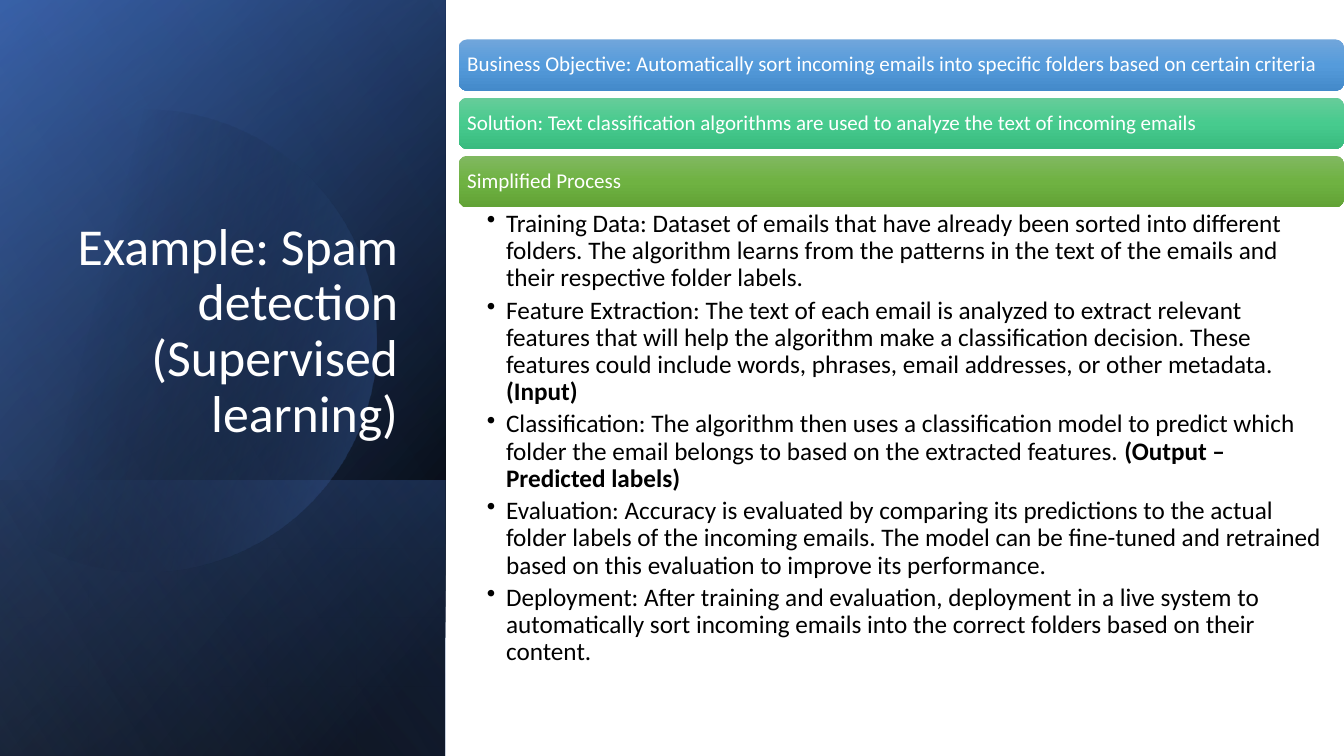
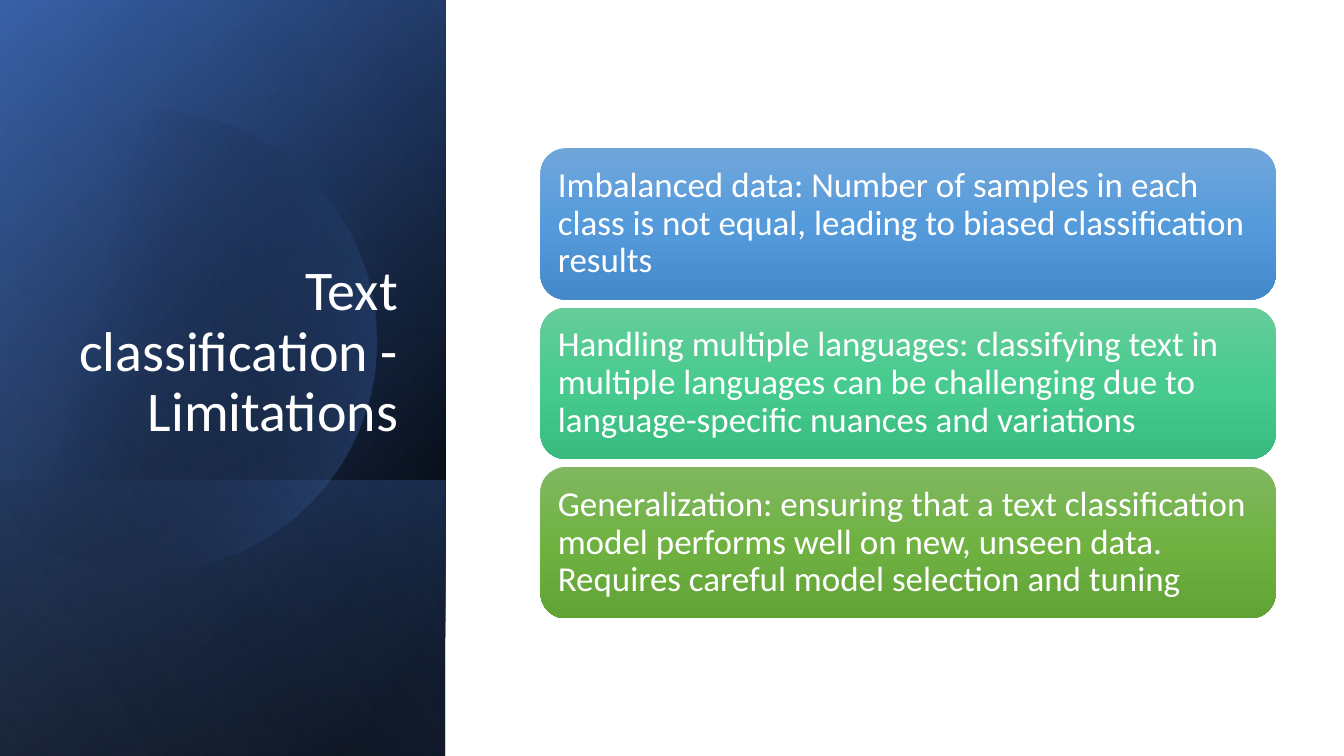
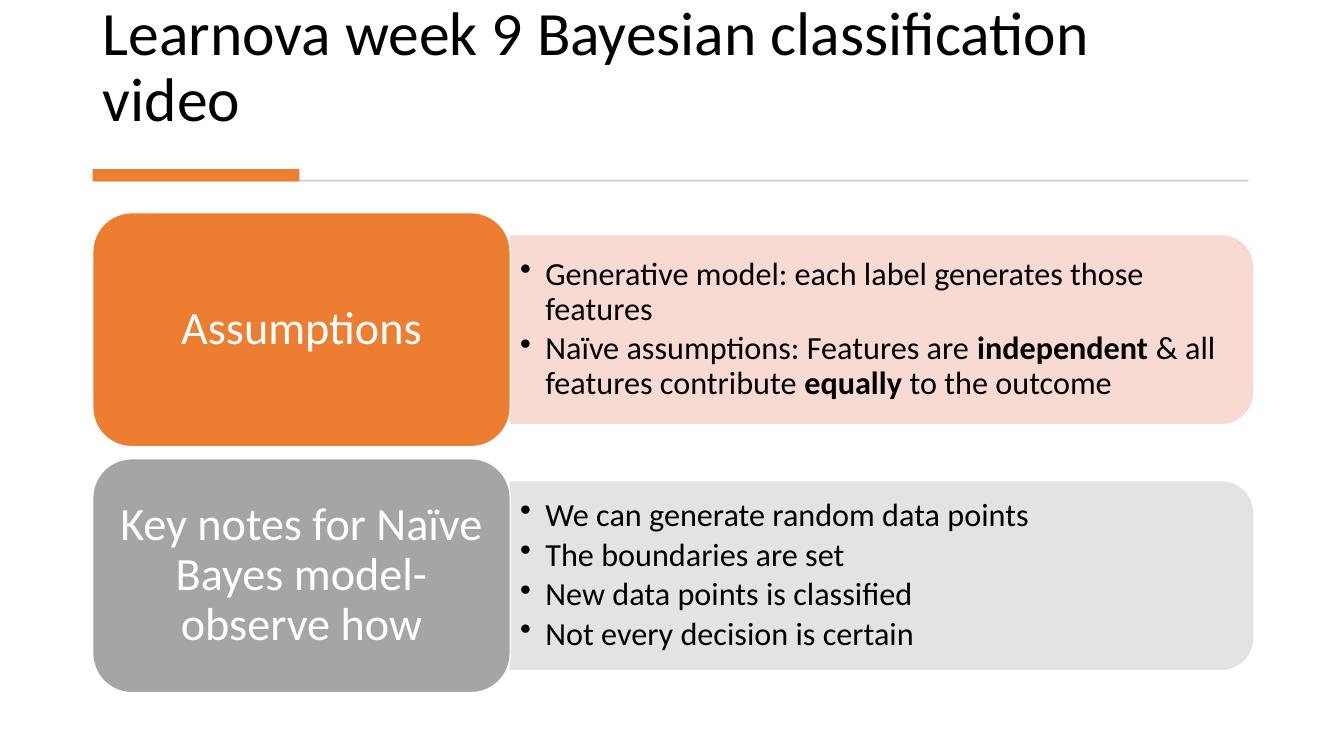
import math
from dataclasses import dataclass

import lxml.etree
import pptx
import pptx.dml.color
import pptx.enum.shapes
import pptx.enum.text
import pptx.oxml.ns
import pptx.util

qn = pptx.oxml.ns.qn
Inches = pptx.util.Inches
Pt = pptx.util.Pt
SHAPE = pptx.enum.shapes.MSO_SHAPE
ALIGN = pptx.enum.text.PP_ALIGN
ANCHOR = pptx.enum.text.MSO_ANCHOR

SLIDE_W, SLIDE_H = Inches(13.33), Inches(7.5)
FONT = "Calibri"
COLORS = {
    "white": "FFFFFF", "black": "000000", "navy": "2F5597", "blue": "4472C4",
    "sky": "8FAADC", "orange": "ED7D31", "peach": "F8D7CE",
    "grey": "A5A5A5", "mist": "E1E1E1", "hairline": "D5D5D5",
}
CARD_GRADIENTS = [
    ("71A6DB", "559BDB", "448ACA"),
    ("67CC9A", "47CB8E", "39BB7F"),
    ("81B861", "6FB242", "62A336"),
]


@dataclass
class Box:
    """A region measured in percent of the slide's width and height."""
    left: float
    top: float
    width: float
    height: float

    def inner(self, left, top, width, height):
        """Return a region given in percent of this one."""
        return Box(self.left + self.width * left / 100,
                   self.top + self.height * top / 100,
                   self.width * width / 100, self.height * height / 100)

    def rows(self, count, gap):
        """Split into equal rows with a gap in percent of the height."""
        row = (100 - gap * (count - 1)) / count
        return [self.inner(0, i * (row + gap), 100, row) for i in range(count)]

    def emu(self):
        """Return left, top, width and height in slide units."""
        return (int(SLIDE_W * self.left / 100), int(SLIDE_H * self.top / 100),
                int(SLIDE_W * self.width / 100), int(SLIDE_H * self.height / 100))


PANEL = Box(0, 0, 33.15, 100)


def rgb(name):
    """Return the named palette colour."""
    return pptx.dml.color.RGBColor.from_string(COLORS[name])


def add_block(slide, kind, box, fill=None, line=None):
    """Add a flat preset shape."""
    block = slide.shapes.add_shape(kind, *box.emu())
    block.shadow.inherit = False
    if fill:
        block.fill.solid()
        block.fill.fore_color.rgb = rgb(fill)
    if line:
        block.line.color.rgb = rgb(line)
        block.line.width = Pt(1)
    else:
        block.line.fill.background()
    return block


def fill_gradient(shape, stops, angle):
    """Fill with (position, hex, opacity) stops along a clockwise angle."""
    shape.fill.gradient()
    gradient = shape._element.spPr.find(qn("a:gradFill"))
    stop_list = gradient.find(qn("a:gsLst"))
    for old in list(stop_list):
        stop_list.remove(old)
    for position, color, opacity in stops:
        stop = lxml.etree.SubElement(stop_list, qn("a:gs"), pos=str(position * 1000))
        tint = lxml.etree.SubElement(stop, qn("a:srgbClr"), val=color)
        if opacity < 100:
            lxml.etree.SubElement(tint, qn("a:alpha"), val=str(opacity * 1000))
    gradient.find(qn("a:lin")).set("ang", str(angle * 60000))


def write(shape, paragraphs, size, color, align=ALIGN.LEFT, anchor=ANCHOR.MIDDLE,
          insets=(0.1, 0.05, 0.1, 0.05), bullet=0, after=0):
    """Write paragraphs in which text between asterisks is bold."""
    frame = shape.text_frame
    frame.word_wrap = True
    frame.auto_size = pptx.enum.text.MSO_AUTO_SIZE.NONE
    frame.vertical_anchor = anchor
    (frame.margin_left, frame.margin_top,
     frame.margin_right, frame.margin_bottom) = map(Inches, insets)
    for index, content in enumerate(paragraphs):
        paragraph = frame.add_paragraph() if index else frame.paragraphs[0]
        paragraph.alignment = align
        paragraph.line_spacing = 0.9
        paragraph.space_before = Pt(0)
        paragraph.space_after = Pt(size * after)
        if bullet:
            properties = paragraph._p.get_or_add_pPr()
            properties.set("marL", str(Inches(bullet)))
            properties.set("indent", str(-Inches(bullet)))
            lxml.etree.SubElement(properties, qn("a:buChar"), char="•")
        for order, piece in enumerate(content.split("*")):
            if piece:
                run = paragraph.add_run()
                run.text = piece
                run.font.bold = order % 2 == 1
                run.font.size = Pt(size)
                run.font.name = FONT
                run.font.color.rgb = rgb(color)


def place_title(slide, box, text, size, color, align):
    """Move the title placeholder into the box, in front, and fill it."""
    title = slide.shapes.title
    title.left, title.top, title.width, title.height = box.emu()
    slide.shapes._spTree.append(title._element)
    write(title, [text], size, color, align, ANCHOR.BOTTOM)


def add_disc(slide, box):
    """Add the large disc cut off by the left edge of the box."""
    left, top, _, height = box.emu()
    center_x, center_y = left + Inches(1.44), top + height * 0.45
    radius = Inches(2.29)
    limit = math.acos((left - center_x) / radius)
    steps = 120
    angles = [limit * (2 * i / steps - 1) for i in range(steps + 1)]
    points = [(round(center_x + radius * math.cos(a)),
               round(center_y + radius * math.sin(a))) for a in angles]
    builder = slide.shapes.build_freeform(*points[0])
    builder.add_line_segments(points[1:], close=True)
    disc = builder.convert_to_shape()
    disc.shadow.inherit = False
    disc.line.fill.background()
    fill_gradient(disc, [(29, COLORS["black"], 0), (100, COLORS["blue"], 43)], 14)


def add_panel(slide, box, title, size):
    """Draw the shaded left panel with its title."""
    black, blue = COLORS["black"], COLORS["blue"]

    def layer(area, stops, angle):
        """Add one gradient layer."""
        fill_gradient(add_block(slide, SHAPE.RECTANGLE, area), stops, angle)

    layer(box, [(8, black, 100), (100, COLORS["navy"], 100)], 220)
    layer(box, [(0, black, 0), (99, blue, 46)], 240)
    layer(box.inner(0, 63.5, 100, 36.5), [(2, blue, 29), (100, black, 30)], 140)
    add_disc(slide, box)
    layer(box, [(0, black, 0), (99, COLORS["sky"], 11)], 150)
    place_title(slide, box.inner(14.5, 24.5, 77.1, 34.9), title, size, "white", ALIGN.RIGHT)


def add_cards(slide, box, texts, gap, size, inset):
    """Stack one gradient card per text."""
    for row, text, colors in zip(box.rows(len(texts), gap), texts, CARD_GRADIENTS):
        card = add_block(slide, SHAPE.ROUNDED_RECTANGLE, row)
        fill_gradient(card, [(50 * i, color, 100) for i, color in enumerate(colors)], 90)
        write(card, [text], size, "white", insets=(inset,) * 4)


def add_steps(slide, box, steps):
    """List the process steps as bullets."""
    listing = slide.shapes.add_textbox(*box.emu())
    write(listing, steps, 18, "black", anchor=ANCHOR.TOP,
          insets=(0.28, 0.03, 0.14, 0.03), bullet=0.19, after=0.2)


def add_topic(slide, box, heading, points, strong, pale):
    """Draw a heading block with its bullet points on a pale tab."""
    tab_box = box.inner(36, 10, 64, 80)
    left, top, width, height = tab_box.emu()
    tab = add_block(slide, SHAPE.ROUND_2_SAME_RECTANGLE, tab_box, pale, pale)
    tab.left, tab.top = left + (width - height) // 2, top + (height - width) // 2
    tab.width, tab.height = height, width
    tab.rotation = 90
    for tint in list(tab._element.spPr.iter(qn("a:srgbClr"))):
        lxml.etree.SubElement(tint, qn("a:alpha"), val="90000")
    details = slide.shapes.add_textbox(left, top, width, height)
    write(details, points, 23, "black", insets=(0.1, 0.05, 0.19, 0.05),
          bullet=0.25, after=0.15)
    label = add_block(slide, SHAPE.ROUNDED_RECTANGLE, box.inner(0, 0, 36, 100), strong, "white")
    write(label, [heading], 33, "white", ALIGN.CENTER, insets=(0.14, 0.07, 0.14, 0.07))


def add_header(slide, box, title):
    """Place a title above a hairline with an accent bar."""
    place_title(slide, box.inner(0, 0, 100, 73), title, 44, "black", ALIGN.LEFT)
    add_block(slide, SHAPE.RECTANGLE, box.inner(0.25, 98.9, 99.5, 1.2), "hairline")
    add_block(slide, SHAPE.RECTANGLE, box.inner(0, 92, 17.85, 8), "orange")


def build_spam_slide(slide):
    """Spam detection example."""
    add_panel(slide, PANEL, "Example: Spam detection (Supervised learning)", 37)
    add_cards(slide, Box(34.13, 5.2, 65.87, 22.2), [
        "Business Objective: Automatically sort incoming emails into specific folders "
        "based on certain criteria",
        "Solution: Text classification algorithms are used to analyze the text of "
        "incoming emails",
        "Simplified Process",
    ], 4, 15, 0.06)
    add_steps(slide, Box(34.13, 27.45, 65.87, 62.8), [
        "Training Data: Dataset of emails that have already been sorted into different "
        "folders. The algorithm learns from the patterns in the text of the emails and "
        "their respective folder labels.",
        "Feature Extraction: The text of each email is analyzed to extract relevant "
        "features that will help the algorithm make a classification decision. These "
        "features could include words, phrases, email addresses, or other metadata. "
        "*(Input)*",
        "Classification: The algorithm then uses a classification model to predict "
        "which folder the email belongs to based on the extracted features. "
        "*(Output – Predicted labels)*",
        "Evaluation: Accuracy is evaluated by comparing its predictions to the actual "
        "folder labels of the incoming emails. The model can be fine-tuned and "
        "retrained based on this evaluation to improve its performance.",
        "Deployment: After training and evaluation, deployment in a live system to "
        "automatically sort incoming emails into the correct folders based on their "
        "content.",
    ])


def build_limitations_slide(slide):
    """Limits of text classification."""
    add_panel(slide, PANEL, "Text classification - Limitations", 40)
    add_cards(slide, Box(40.22, 19.6, 54.7, 62.2), [
        "Imbalanced data: Number of samples in each class is not equal, leading to "
        "biased classification results",
        "Handling multiple languages: classifying text in multiple languages can be "
        "challenging due to language-specific nuances and variations",
        "Generalization: ensuring that a text classification model performs well on "
        "new, unseen data. Requires careful model selection and tuning",
    ], 1.7, 25, 0.1)


def build_bayes_slide(slide):
    """Assumptions and notes on the Bayesian model."""
    add_header(slide, Box(6.9, 3.73, 86.2, 20.27), "Learnova week 9 Bayesian classification video")
    topics = [
        ("Assumptions", [
            "Generative model: each label generates those features",
            "Naïve assumptions: Features are *independent* & all features contribute "
            "*equally* to the outcome",
        ], "orange", "peach"),
        ("Key notes for Naïve Bayes model- observe how", [
            "We can generate random data points",
            "The boundaries are set",
            "New data points is classified",
            "Not every decision is certain",
        ], "grey", "mist"),
    ]
    for row, topic in zip(Box(6.9, 28.13, 86.3, 63.5).rows(len(topics), 2.5), topics):
        add_topic(slide, row, *topic)


def main():
    """Build and save the presentation."""
    deck = pptx.Presentation()
    deck.slide_width, deck.slide_height = SLIDE_W, SLIDE_H
    title_only = deck.slide_layouts[5]
    for build in (build_spam_slide, build_limitations_slide, build_bayes_slide):
        build(deck.slides.add_slide(title_only))
    deck.save("out.pptx")


if __name__ == "__main__":
    main()
